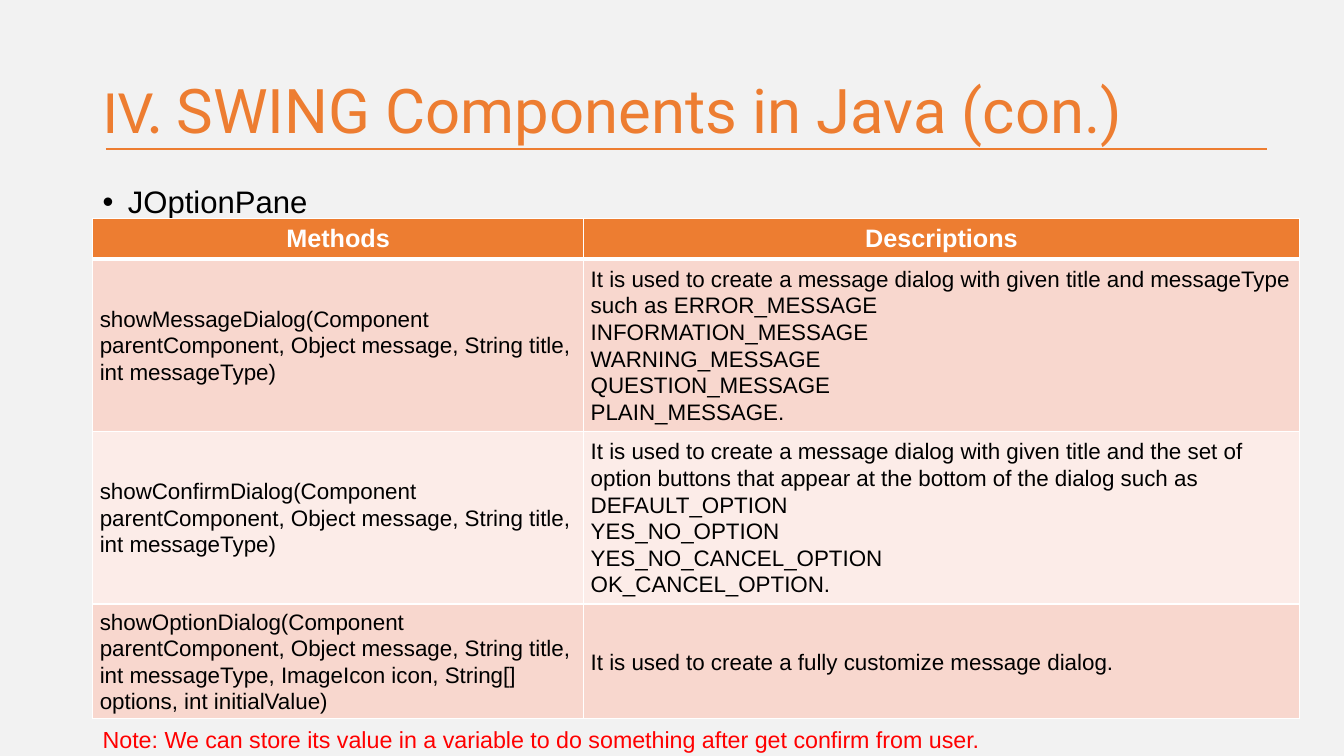
from lxml.etree import SubElement as Sub
from pptx import Presentation
from pptx.dml.color import RGBColor as Rgb
from pptx.enum.shapes import MSO_CONNECTOR as Link
from pptx.enum.text import MSO_ANCHOR as Anchor, PP_ALIGN as Align
from pptx.oxml.ns import qn
from pptx.util import Inches, Pt

WIDE, HIGH = Inches(13.33), Inches(7.5)
HUES = {"back": "F2F2F2", "main": "ED7D31", "ink": "000000", "note": "FF0000",
        "white": "FFFFFF", "odd": "F8D7CE", "even": "FCECE8"}
LEFT, SPAN = 6.9, 86.27
COLS = (36.53, 53.26)
ROWS = (5.33, 21.07, 21.07, 14.13)
HEADS = ("Methods", "Descriptions")
CALLS = (
    ("showMessageDialog(Component parentComponent, Object message, String title, int messageType)",
     "It is used to create a message dialog with given title and messageType such as ERROR_MESSAGE\n"
     "INFORMATION_MESSAGE\nWARNING_MESSAGE\nQUESTION_MESSAGE\nPLAIN_MESSAGE."),
    ("showConfirmDialog(Component parentComponent, Object message, String title, int messageType)",
     "It is used to create a message dialog with given title and the set of option buttons "
     "that appear at the bottom of the dialog such as DEFAULT_OPTION\n"
     "YES_NO_OPTION\nYES_NO_CANCEL_OPTION\nOK_CANCEL_OPTION."),
    ("showOptionDialog(Component parentComponent, Object message, String title, "
     "int messageType, ImageIcon icon, String[] options, int initialValue)",
     "It is used to create a fully customize message dialog."),
)
HEAD = {"size": Pt(18), "name": "Arial", "bold": True}
BODY = {"size": Pt(16), "name": "Arial", "bold": False}
TIGHT = {"margin_left": Inches(0.07), "margin_right": Inches(0.07),
         "margin_top": 0, "margin_bottom": 0}


def across(share):
    """Turn a percentage of the slide's width into a length."""
    return round(WIDE * share / 100)


def down(share):
    """Turn a percentage of the slide's height into a length."""
    return round(HIGH * share / 100)


def hue(name):
    """Look up a colour by name."""
    return Rgb.from_string(HUES[name])


def put(item, form):
    """Set each attribute listed in a dict."""
    for key, value in form.items():
        setattr(item, key, value)


def ink(font, tint, form):
    """Format a font and give it a colour."""
    put(font, form)
    font.color.rgb = hue(tint)


def write(slide, top, tall, runs, tint, lead, anchor=Anchor.TOP):
    """Add a one-paragraph text box and return the paragraph."""
    box = slide.shapes.add_textbox(across(LEFT), down(top), across(SPAN), down(tall))
    put(box.text_frame, {"word_wrap": True, "vertical_anchor": anchor})
    para = box.text_frame.paragraphs[0]
    para.line_spacing = lead
    for text, face, size in runs:
        run = para.add_run()
        run.text = text
        ink(run.font, tint, {"name": face, "size": Pt(size)})
    return para


def dot(para):
    """Give a paragraph a hanging bullet."""
    props = para._p.get_or_add_pPr()
    props.set("marL", str(Inches(0.25)))
    props.set("indent", str(-Inches(0.25)))
    Sub(props, qn("a:buFont"), typeface="Arial")
    Sub(props, qn("a:buChar"), char="•")


def rule(slide, start, end, top):
    """Draw the line below the title."""
    line = slide.shapes.add_connector(
        Link.STRAIGHT, across(start), down(top), across(end), down(top))
    line.line.color.rgb = hue("main")
    line.line.width = Pt(1.5)
    Sub(line._element.spPr, qn("a:effectLst"))


def edge(cell, row):
    """Draw white borders, thicker below the header row."""
    widths = {"lnL": 1, "lnR": 1, "lnT": 3 if row == 1 else 1, "lnB": 3 if row == 0 else 1}
    for side, width in widths.items():
        line = Sub(cell._tc.get_or_add_tcPr(), qn(f"a:{side}"), w=str(Pt(width)))
        fill = Sub(line, qn("a:solidFill"))
        Sub(fill, qn("a:srgbClr"), val=HUES["white"])


def fill(cell, text, row):
    """Fill and format one table cell."""
    first = row == 0
    cell.text = text
    cell.vertical_anchor = Anchor.MIDDLE
    put(cell, {} if first else TIGHT)
    edge(cell, row)
    cell.fill.solid()
    cell.fill.fore_color.rgb = hue("main" if first else "odd" if row % 2 else "even")
    for para in cell.text_frame.paragraphs:
        put(para, {"alignment": Align.CENTER} if first
            else {"alignment": Align.LEFT, "line_spacing": 1.07})
        for run in para.runs:
            ink(run.font, "white" if first else "ink", HEAD if first else BODY)


def grid(slide, top):
    """Add the table of dialog methods."""
    table = slide.shapes.add_table(
        len(ROWS), len(COLS), across(LEFT), down(top),
        across(sum(COLS)), down(sum(ROWS))).table
    for col, share in zip(table.columns, COLS):
        col.width = across(share)
    for row, share in zip(table.rows, ROWS):
        row.height = down(share)
    for row, texts in enumerate((HEADS, *CALLS)):
        for col, text in enumerate(texts):
            fill(table.cell(row, col), text, row)


def main():
    """Build the slide and save it."""
    deck = Presentation()
    put(deck, {"slide_width": WIDE, "slide_height": HIGH})
    slide = deck.slides.add_slide(deck.slide_layouts[6])
    slide.background.fill.solid()
    slide.background.fill.fore_color.rgb = hue("back")
    rule(slide, 7.88, 94.3, 19.73)
    write(slide, 5.33, 19.33, [("IV. ", "Calibri", 44),
          ("SWING Components in Java (con.)", "Roboto", 44)], "main", 0.9, Anchor.MIDDLE)
    dot(write(slide, 21.07, 8, [("JOptionPane", "Arial", 22.2)], "ink", 1.5))
    write(slide, 93.47, 6.53, [("Note: We can store its value in a variable to do something "
          "after get confirm from user.", "Arial", 16.6)], "note", 1.5)
    grid(slide, 28.93)
    deck.save("out.pptx")


if __name__ == "__main__":
    main()
